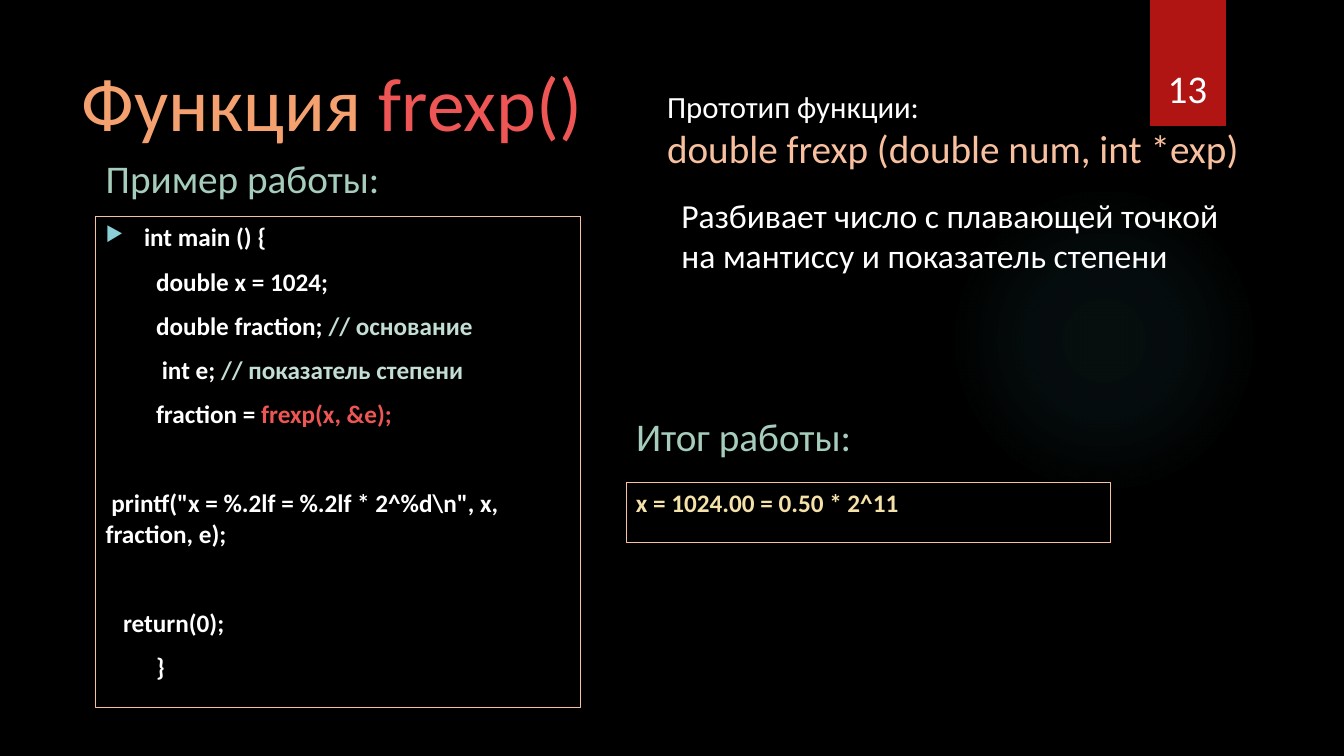
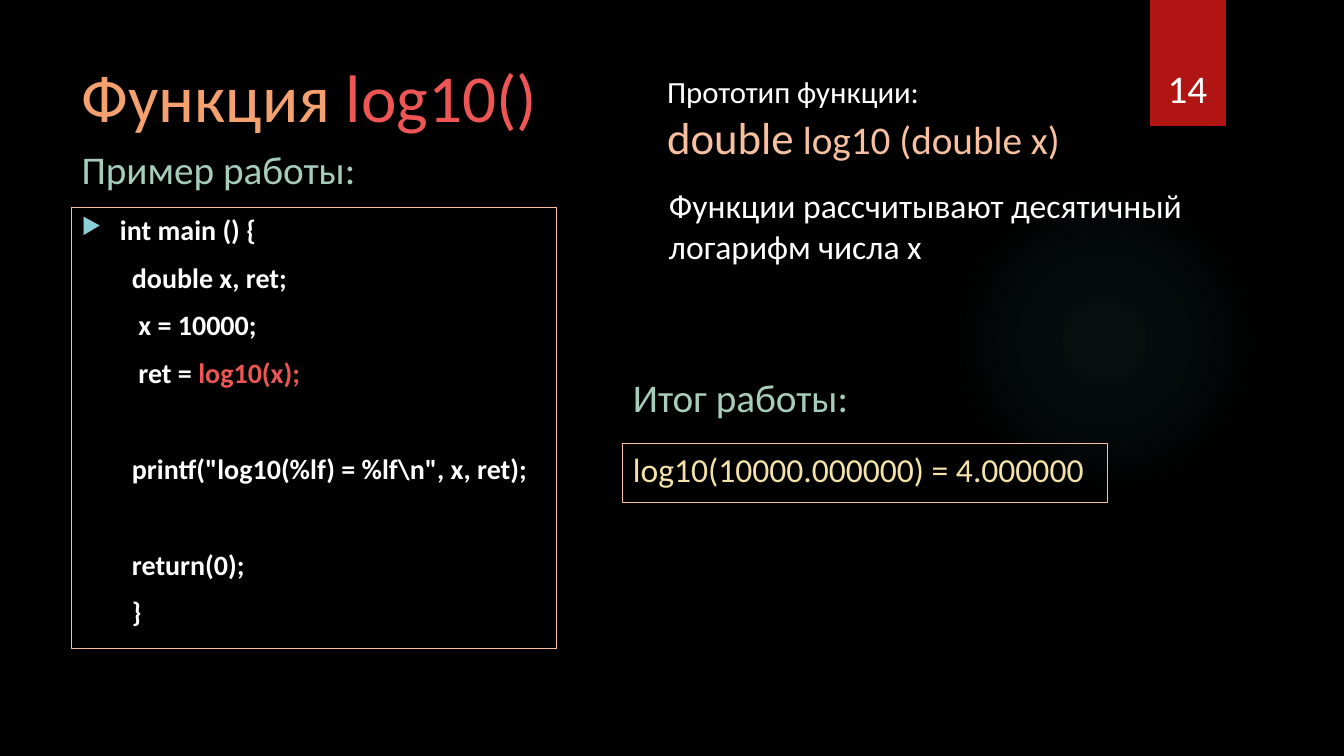
from collections import namedtuple

from pptx import Presentation
from pptx.dml.color import RGBColor
from pptx.enum.shapes import MSO_SHAPE as Preset
from pptx.enum.text import MSO_ANCHOR as Anchor, MSO_AUTO_SIZE as AutoSize, PP_ALIGN as Align
from pptx.oxml import parse_xml
from pptx.oxml.ns import nsdecls, qn
from pptx.util import Inches, Pt

FONT = "Calibri"
COLORS = {
    "back": "000000", "white": "FFFFFF", "glow": "50B9C1", "tab": "B01513",
    "title": "F4A16F", "function": "ED5654", "heading": "A6CDBC",
    "comment": "C3DED3", "prototype": "F8C09F", "result": "F5E2A9",
    "bullet": "8AD0D6",
}
RGB = {name: RGBColor.from_string(value) for name, value in COLORS.items()}

# Grid of square cells; every place and size below is in cells
COLS, ROWS = 48, 27
LEFT = 2.56                 # title
RIGHT = 23.47               # prototype
FRAME_WIDTH = 17.32         # code and output
OUTPUT_HEIGHT = 2.12
CAPTION_WIDTH, CAPTION_HEIGHT = 14.98, 2.05
EXAMPLE_RISE, RESULT_RISE = 2.4, 2.7    # from frame top up to caption top
TAB_INDENT, BULLET_INDENT = 1.8, 1.37

# Code typography: gap in points, the others as shares of the text size
LINE_GAP, LINE_HEIGHT, SPACE_WIDTH = 10, 1.22, 0.23

# A run is (text, colour, size); colour and size may be left out
CodeLine = namedtuple("CodeLine", "tabs spaces skipped runs")

FUNCTIONS = [
    {
        "page": "13", "name": "frexp()", "title size": 54,
        "code at": (3.42, 7.74), "code height": 17.53, "code size": 18,
        "code": [
            CodeLine(1, 0, 0, [("double x = 1024;",)]),
            CodeLine(1, 0, 0, [("double fraction; ",), ("// основание", "comment")]),
            CodeLine(1, 1, 0, [("int e; ",), ("// показатель степени", "comment")]),
            CodeLine(1, 0, 0, [("fraction = ",), ("frexp(x, &e);", "function")]),
            CodeLine(0, 1, 1, [('printf("x = %.2lf = %.2lf * 2^%d\\n", x, fraction, e);',)]),
            CodeLine(0, 3, 1, [("return(0);",)]),
            CodeLine(1, 0, 0, [("}",)]),
        ],
        "prototype top": 2.95,
        "prototype": [("double frexp (double num, int *exp)", "prototype", 28)],
        "meaning box": (23.98, 6.77, 20.34, 3.28),
        "meaning": ["Разбивает число с плавающей точкой",
                    "на мантиссу и показатель степени"],
        "output at": (22.36, 17.24), "output": "x = 1024.00 = 0.50 * 2^11",
        "output size": 18, "output bold": True,
    },
    {
        "page": "14", "name": "log10()", "title size": 48,
        "code at": (2.56, 7.42), "code height": 15.73, "code size": 20,
        "code": [
            CodeLine(1, 0, 0, [("double x, ret;",)]),
            CodeLine(1, 1, 0, [("x = 10000;",)]),
            CodeLine(1, 1, 0, [("ret = ",), ("log10(x);", "function")]),
            CodeLine(1, 0, 1, [('printf("log10(%lf) = %lf\\n", x, ret);',)]),
            CodeLine(1, 0, 1, [("return(0);",)]),
            CodeLine(1, 0, 0, [("}",)]),
        ],
        "prototype top": 2.41,
        "prototype": [("double", "prototype", 32), (" log10 (double x)", "prototype", 28)],
        "meaning box": (23.54, 6.44, 22.57, 3.28),
        "meaning": ["Функции рассчитывают десятичный логарифм числа x"],
        "output at": (22.25, 15.84), "output": "log10(10000.000000) = 4.000000",
        "output size": 24, "output bold": False,
    },
]

deck = Presentation()
deck.slide_width, deck.slide_height = Inches(13.333), Inches(7.5)
col, row = deck.slide_width / COLS, deck.slide_height / ROWS
title_only = deck.slide_layouts[5]


def grid(x, y, width, height):
    """Turn grid cells into lengths on the slide."""
    return int(x * col), int(y * row), int(width * col), int(height * row)


def write(frame, lines, size, color="white", bold=False):
    """Write one paragraph per list of runs and return the paragraphs."""
    frame.word_wrap = True
    frame.auto_size = AutoSize.NONE
    for index, runs in enumerate(lines):
        paragraph = frame.add_paragraph() if index else frame.paragraphs[0]
        paragraph.font.name = FONT
        paragraph.font.size = Pt(size)
        paragraph.font.bold = bold
        paragraph.font.color.rgb = RGB[color]
        for text, *style in runs:
            run = paragraph.add_run()
            run.text = text
            if style:
                run.font.color.rgb = RGB[style[0]]
            if len(style) > 1:
                run.font.size = Pt(style[1])
    return frame.paragraphs


# Shared black background
backdrop = deck.slide_master.background.fill
backdrop.solid()
backdrop.fore_color.rgb = RGB["back"]

slides = [deck.slides.add_slide(title_only) for _ in FUNCTIONS]

# Shared glow and page tab: drawn on a slide, then moved to the layout
glow = slides[0].shapes.add_shape(Preset.OVAL, *grid(33.88, 6.59, 11.09, 11.09))
page_tab = slides[0].shapes.add_shape(Preset.RECTANGLE, *grid(41.08, 0, 2.7, 4.5))
for decoration in (glow, page_tab):
    decoration.line.fill.background()
    decoration.shadow.inherit = False
    title_only.shapes.element.append(decoration.element)

# Glow: radial gradient that fades out
stops = "".join(
    f'<a:gs pos="{position}000"><a:srgbClr val="{COLORS["glow"]}">'
    f'<a:alpha val="{opacity}000"/></a:srgbClr></a:gs>'
    for position, opacity in ((0, 7), (36, 6), (69, 0)))
glow.fill.background()
glow_props = glow.element.spPr
glow_props.replace(glow_props.find(qn("a:noFill")), parse_xml(
    f'<a:gradFill {nsdecls("a")}><a:gsLst>{stops}</a:gsLst><a:path path="circle">'
    '<a:fillToRect l="50000" t="50000" r="50000" b="50000"/></a:path></a:gradFill>'))

# Page tab: solid red with a soft shadow below
page_tab.fill.solid()
page_tab.fill.fore_color.rgb = RGB["tab"]
page_tab.element.spPr.find(qn("a:effectLst")).append(parse_xml(
    f'<a:outerShdw {nsdecls("a")} blurRad="{Pt(3)}" dist="{Pt(2)}" dir="5400000">'
    f'<a:srgbClr val="{COLORS["back"]}"><a:alpha val="45000"/></a:srgbClr></a:outerShdw>'))

for slide, function in zip(slides, FUNCTIONS):
    shapes = slide.shapes
    code_x, code_y = function["code at"]
    output_x, output_y = function["output at"]

    # Title
    title = shapes.title
    title.left, title.top, title.width, title.height = grid(LEFT, 1.8, 19.8, 3.5)
    title.text_frame.vertical_anchor = Anchor.TOP
    title_runs = [("Функция ",), (function["name"], "function")]
    write(title.text_frame, [title_runs], function["title size"], "title")[0].alignment = Align.LEFT

    # Page number on the tab
    page = shapes.add_textbox(*grid(40.75, 1.15, 3.31, 3.02)).text_frame
    page.vertical_anchor = Anchor.BOTTOM
    write(page, [[(function["page"],)]], 28)[0].alignment = Align.CENTER

    # Captions above the two frames
    for caption, x, y in (("Пример работы:", code_x, code_y - EXAMPLE_RISE),
                          ("Итог работы:", output_x, output_y - RESULT_RISE)):
        caption_box = shapes.add_textbox(*grid(x, y, CAPTION_WIDTH, CAPTION_HEIGHT))
        write(caption_box.text_frame, [[(caption,)]], 28, "heading")

    # Frames for the code and its output
    code = shapes.add_textbox(*grid(code_x, code_y, FRAME_WIDTH, function["code height"]))
    output = shapes.add_textbox(*grid(output_x, output_y, FRAME_WIDTH, OUTPUT_HEIGHT))
    for framed in (code, output):
        framed.line.color.rgb = RGB["prototype"]
        framed.line.width = Pt(0.75)
    write(output.text_frame, [[(function["output"],)]],
          function["output size"], "result", function["output bold"])

    # Code: a bulleted first line, then lines indented by tabs and spaces
    size = function["code size"]
    opening = CodeLine(0, 0, 0, [("int main () {",)])
    code_lines = [opening, *function["code"]]
    paragraphs = write(code.text_frame, [line.runs for line in code_lines], size, bold=True)
    for paragraph, line in zip(paragraphs, code_lines):
        paragraph.space_before = Pt(LINE_GAP + line.skipped * (LINE_GAP + LINE_HEIGHT * size))
        indents = paragraph._p.get_or_add_pPr()
        indents.set("marL", str(int(line.tabs * TAB_INDENT * col)))
        indents.set("indent", str(Pt(line.spaces * SPACE_WIDTH * size)))

    bulleted = paragraphs[0]._p.get_or_add_pPr()
    bulleted.set("marL", str(int(BULLET_INDENT * col)))
    bulleted.set("indent", str(-int(BULLET_INDENT * col)))
    font_defaults = bulleted.find(qn("a:defRPr"))
    for bullet_part in (
            f'<a:buClr {nsdecls("a")}><a:srgbClr val="{COLORS["bullet"]}"/></a:buClr>',
            f'<a:buSzPct {nsdecls("a")} val="80000"/>',
            f'<a:buChar {nsdecls("a")} char="▶"/>'):
        font_defaults.addprevious(parse_xml(bullet_part))

    # Prototype and meaning of the function
    prototype = shapes.add_textbox(*grid(RIGHT, function["prototype top"], 21.38, 3.74))
    write(prototype.text_frame, [[("Прототип функции:",)], function["prototype"]], 22)
    meaning = shapes.add_textbox(*grid(*function["meaning box"]))
    write(meaning.text_frame, [[(sentence,)] for sentence in function["meaning"]], 24)

deck.save("out.pptx")
